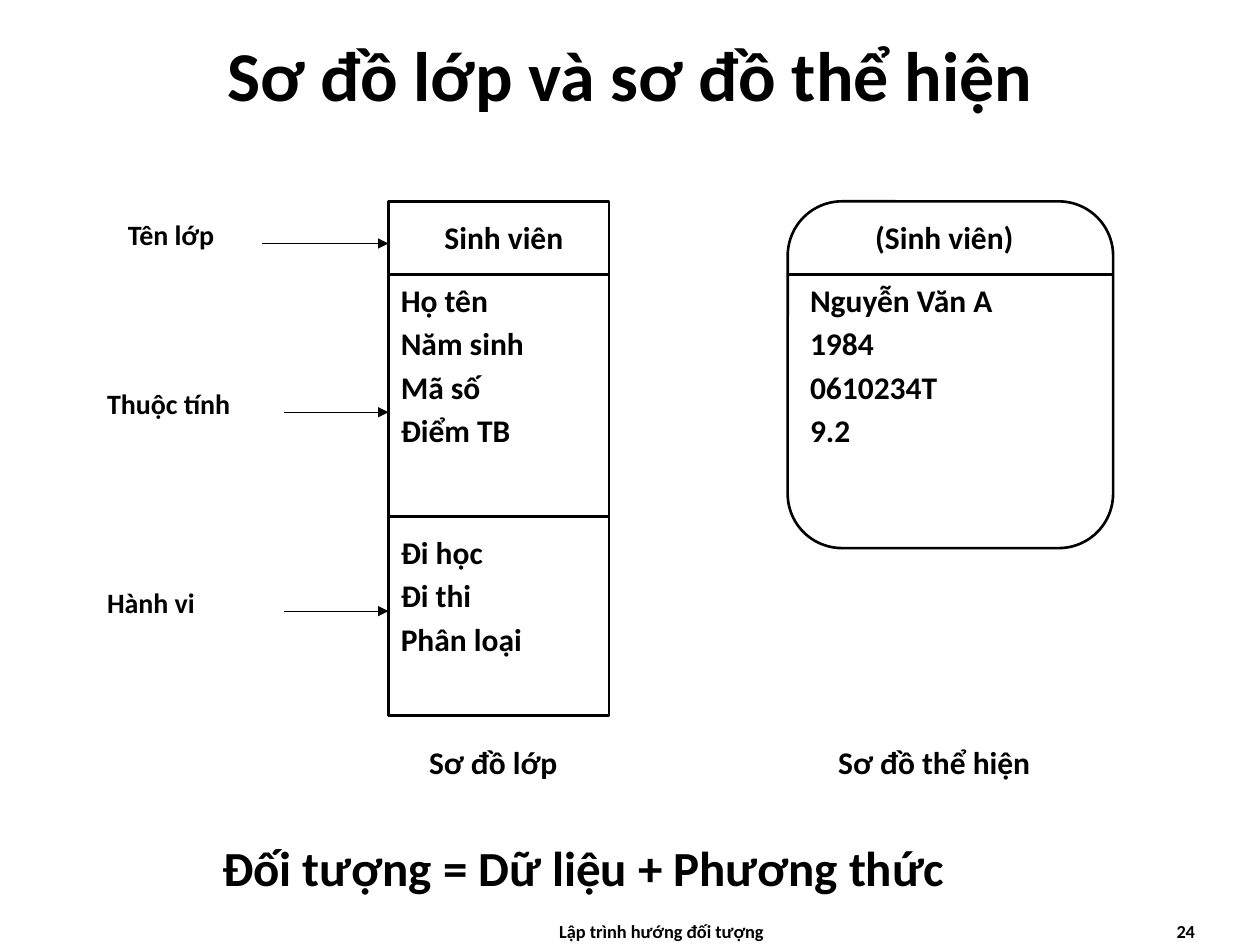
from typing import NamedTuple

from lxml.etree import SubElement
from pptx import Presentation
from pptx.dml.color import RGBColor
from pptx.enum.shapes import MSO_CONNECTOR, MSO_SHAPE
from pptx.enum.text import MSO_ANCHOR, PP_ALIGN
from pptx.oxml.ns import qn
from pptx.util import Cm, Pt

COLORS = {"ink": "000000"}
FONT = "Calibri"
LEFT, MID, RIGHT = PP_ALIGN.LEFT, PP_ALIGN.CENTER, PP_ALIGN.RIGHT

# Shared places, in cm
TOP, HEAD = 4.06, 1.48
CLASS_X, CLASS_W = 7.83, 4.45
OBJ_X, OBJ_W, OBJ_H = 15.88, 6.56, 6.99


class Part(NamedTuple):
    """One compartment of the class box."""
    lines: list[str]
    high: float
    pad: float
    align: PP_ALIGN


class Label(NamedTuple):
    """A note with an arrow to the class box."""
    text: str
    x: float
    y: float
    wide: float
    start: float


PARTS = [
    Part(["Sinh viên"], HEAD, 0.21, MID),
    Part(["Họ tên", "Năm sinh", "Mã số", "Điểm TB"], 4.87, 0, LEFT),
    Part(["Đi học", "Đi thi", "Phân loại"], 4.02, 0.21, LEFT),
]
LABELS = [
    Label("Tên lớp", 2.33, 4.27, 2.96, 5.29),
    Label("Thuộc tính", 1.91, 7.67, 4.66, 5.72),
    Label("Hành vi", 1.91, 11.68, 3.81, 5.72),
]

deck = Presentation()
deck.slide_width, deck.slide_height = Cm(25.4), Cm(19.05)
slide = deck.slides.add_slide(deck.slide_layouts[6])


def ink() -> RGBColor:
    return RGBColor.from_string(COLORS["ink"])


def write(lines: list[str], x: float, y: float, w: float, h: float, *,
          size: float = 18, align: PP_ALIGN = LEFT,
          anchor: MSO_ANCHOR = MSO_ANCHOR.TOP, wrap: bool = True) -> None:
    frame = slide.shapes.add_textbox(Cm(x), Cm(y), Cm(w), Cm(h)).text_frame
    frame.word_wrap = wrap
    frame.vertical_anchor = anchor
    for i, line in enumerate(lines):
        para = frame.add_paragraph() if i else frame.paragraphs[0]
        para.alignment = align
        para.space_before = Pt(3.2 if i else 0)
        run = para.add_run()
        run.text = line
        run.font.name, run.font.size, run.font.bold = FONT, Pt(size), True
        run.font.color.rgb = ink()


def frame_box(kind: MSO_SHAPE, x: float, y: float, w: float, h: float):
    box = slide.shapes.add_shape(kind, Cm(x), Cm(y), Cm(w), Cm(h))
    box.shadow.inherit = False
    box.fill.background()
    box.line.color.rgb = ink()
    box.line.width = Pt(1.5)
    return box


def rule(x: float, end: float, y: float, *, width: float = 1.5,
         arrow: bool = False) -> None:
    line = slide.shapes.add_connector(
        MSO_CONNECTOR.STRAIGHT, Cm(x), Cm(y), Cm(end), Cm(y))
    line.line.color.rgb = ink()
    line.line.width = Pt(width)
    if arrow:
        SubElement(line.line._get_or_add_ln(), qn("a:tailEnd"), type="triangle")
    SubElement(line._element.spPr, qn("a:effectLst"))


# Title and footer
write(["Sơ đồ lớp và sơ đồ thể hiện"], 0, 0, 25.4, 2.97,
      size=40, align=MID, anchor=MSO_ANCHOR.MIDDLE)
write(["Lập trình hướng đối tượng"], 9.31, 18.42, 8.05, 0.63,
      size=10.5, align=MID)
write(["24"], 18.42, 18.42, 5.92, 0.63, size=10.5, align=RIGHT)

# Class box, stacked from the top
y = TOP
for part in PARTS:
    write(part.lines, CLASS_X, y + part.pad, 4.66, part.high - part.pad,
          align=part.align)
    frame_box(MSO_SHAPE.RECTANGLE, CLASS_X, y, CLASS_W, part.high)
    y += part.high

# Object box
write(["(Sinh viên)"], 16.08, TOP + 0.21, 5.92, 1.02, align=MID)
write(["Nguyễn Văn A", "1984", "0610234T", "9.2"],
      16.08, TOP + HEAD, 6.35, 3.78)
card = frame_box(MSO_SHAPE.ROUNDED_RECTANGLE, OBJ_X, TOP, OBJ_W, OBJ_H)
card.adjustments[0] = 0.167
rule(OBJ_X, OBJ_X + OBJ_W, TOP + HEAD)

# Labels with arrows
for label in LABELS:
    rule(label.start, CLASS_X, label.y + 0.64, width=0.75, arrow=True)
    write([label.text], label.x, label.y, label.wide, 0.94, size=16)

# Captions and summary
for text, x in (("Sơ đồ lớp", 6.77), ("Sơ đồ thể hiện", 15.66)):
    write([text], x, 14.86, 6.35, 1.02, align=MID)
write(["Đối tượng = Dữ liệu + Phương thức"], 4.23, 16.76, 15.24, 1.45,
      size=28, wrap=False)

deck.save("out.pptx")
